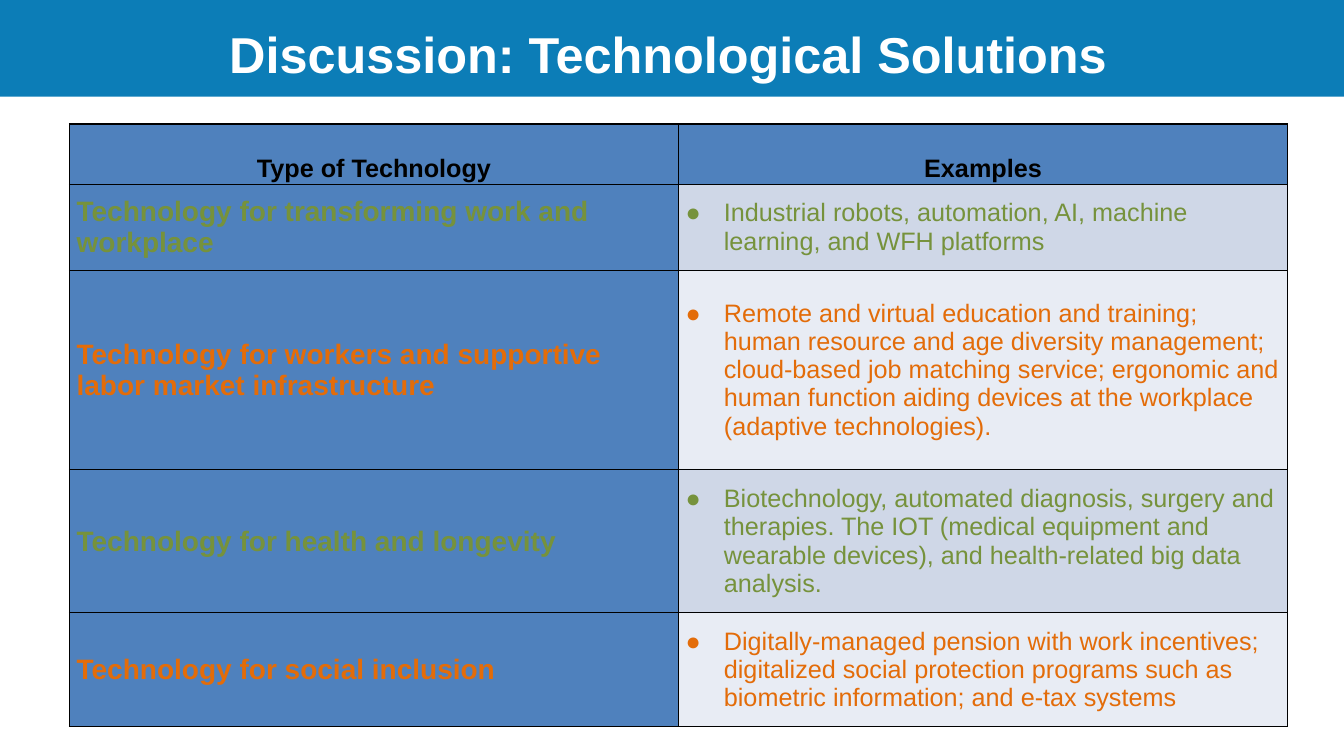
import pptx
import pptx.dml.color
import pptx.enum.shapes
import pptx.enum.text
import pptx.oxml
import pptx.oxml.ns
import pptx.util
from pptx.util import Inches

COLORS = {
    "band": "0C7DB7", "title": "FFFFFF", "label_fill": "4F81BD",
    "header": "000000", "border": "000000",
    "green": "76923C", "orange": "E36C09",
    "green_fill": "CFD7E7", "orange_fill": "E8ECF4",
}
HEADERS = ("Type of Technology", "Examples")
HEADER_HEIGHT = 0.6
# Label, examples, row height in inches
TECHNOLOGIES = [
    ("Technology for transforming work and workplace",
     "Industrial robots, automation, AI, machine learning, and WFH platforms",
     0.85),
    ("Technology for workers and supportive labor market infrastructure",
     "Remote and virtual education and training; human resource and age "
     "diversity management; cloud-based job matching service; ergonomic and "
     "human function aiding devices at the workplace (adaptive technologies).",
     1.98),
    ("Technology for health and longevity",
     "Biotechnology, automated diagnosis, surgery and therapies. The IOT "
     "(medical equipment and wearable devices), and health-related big data "
     "analysis.",
     1.42),
    ("Technology for social inclusion",
     "Digitally-managed pension with work incentives; digitalized social "
     "protection programs such as biometric information; and e-tax systems",
     1.13),
]
CENTER = pptx.enum.text.PP_ALIGN.CENTER
LEFT = pptx.enum.text.PP_ALIGN.LEFT
MIDDLE = pptx.enum.text.MSO_ANCHOR.MIDDLE


def rgb(name):
    return pptx.dml.color.RGBColor.from_string(COLORS[name])


def set_values(target, values):
    for name, value in values.items():
        setattr(target, name, value)


def write(para, text, size, color, bold):
    span = para.add_run()
    span.text = text
    set_values(span.font, {"name": "Arial", "size": pptx.util.Pt(size), "bold": bold})
    span.font.color.rgb = rgb(color)


def element(xml):
    """Parse one drawing element written without its namespace."""
    tag, rest = xml[1:].split(" ", 1)
    return pptx.oxml.parse_xml(f"<{tag} {pptx.oxml.ns.nsdecls('a')} {rest}")


def add_bullet(para, color):
    properties = para._p.get_or_add_pPr()
    properties.set("marL", str(Inches(0.38)))
    properties.set("indent", str(-Inches(0.38)))
    for xml in (f'<a:buClr ><a:srgbClr val="{COLORS[color]}"/></a:buClr>',
                '<a:buFont typeface="Arial"/>', '<a:buChar char="●"/>'):
        properties.append(element(xml))


def format_cell(cell, fill):
    set_values(cell, {
        "vertical_anchor": MIDDLE, "margin_left": Inches(0.07),
        "margin_right": Inches(0.07), "margin_top": 0, "margin_bottom": 0,
    })
    for side in ("lnL", "lnR", "lnT", "lnB"):
        cell._tc.get_or_add_tcPr().append(element(
            f'<a:{side} w="{pptx.util.Pt(1)}"><a:solidFill>'
            f'<a:srgbClr val="{COLORS["border"]}"/></a:solidFill></a:{side}>'))
    cell.fill.solid()
    cell.fill.fore_color.rgb = rgb(fill)


def add_title_band(page, left, top, width, height):
    band = page.shapes.add_shape(
        pptx.enum.shapes.MSO_SHAPE.RECTANGLE,
        Inches(left), Inches(top), Inches(width), Inches(height))
    band.shadow.inherit = False
    band.fill.solid()
    band.fill.fore_color.rgb = rgb("band")
    band.line.fill.background()

    title = page.shapes.title
    title.element.addprevious(band.element)
    set_values(title, {
        "left": Inches(left + 1.38), "top": Inches(top + 0.17),
        "width": Inches(10.5), "height": Inches(0.71),
    })
    set_values(title.text_frame, {
        "word_wrap": True, "vertical_anchor": MIDDLE,
        "auto_size": pptx.enum.text.MSO_AUTO_SIZE.NONE,
    })
    para = title.text_frame.paragraphs[0]
    para.alignment = CENTER
    write(para, "Discussion: Technological Solutions", 36, "title", True)


def add_technology_table(page, left, top, width):
    heights = [HEADER_HEIGHT] + [height for _, _, height in TECHNOLOGIES]
    frame = page.shapes.add_table(
        len(heights), len(HEADERS), Inches(left), Inches(top),
        Inches(width), Inches(sum(heights)))
    table = frame.table
    for row, height in zip(table.rows, heights):
        row.height = Inches(height)

    for column, heading in enumerate(HEADERS):
        cell = table.cell(0, column)
        format_cell(cell, "label_fill")
        para = cell.text_frame.paragraphs[0]
        set_values(para, {"alignment": CENTER, "line_spacing": 2.0})
        write(para, heading, 18, "header", True)

    for number, (label, examples, _) in enumerate(TECHNOLOGIES, start=1):
        color = "green" if number % 2 else "orange"
        label_cell, examples_cell = table.cell(number, 0), table.cell(number, 1)
        format_cell(label_cell, "label_fill")
        format_cell(examples_cell, color + "_fill")
        write(label_cell.text_frame.paragraphs[0], label, 20, color, True)
        para = examples_cell.text_frame.paragraphs[0]
        add_bullet(para, color)
        para.alignment = LEFT
        write(para, examples, 18, color, False)


def main():
    deck = pptx.Presentation()
    set_values(deck, {"slide_width": Inches(13.33), "slide_height": Inches(7.5)})
    page = deck.slides.add_slide(deck.slide_layouts.get_by_name("Title Only"))
    add_title_band(page, 0, 0, 13.33, 0.96)
    add_technology_table(page, 0.69, 1.23, 12.08)
    deck.save("out.pptx")


if __name__ == "__main__":
    main()
